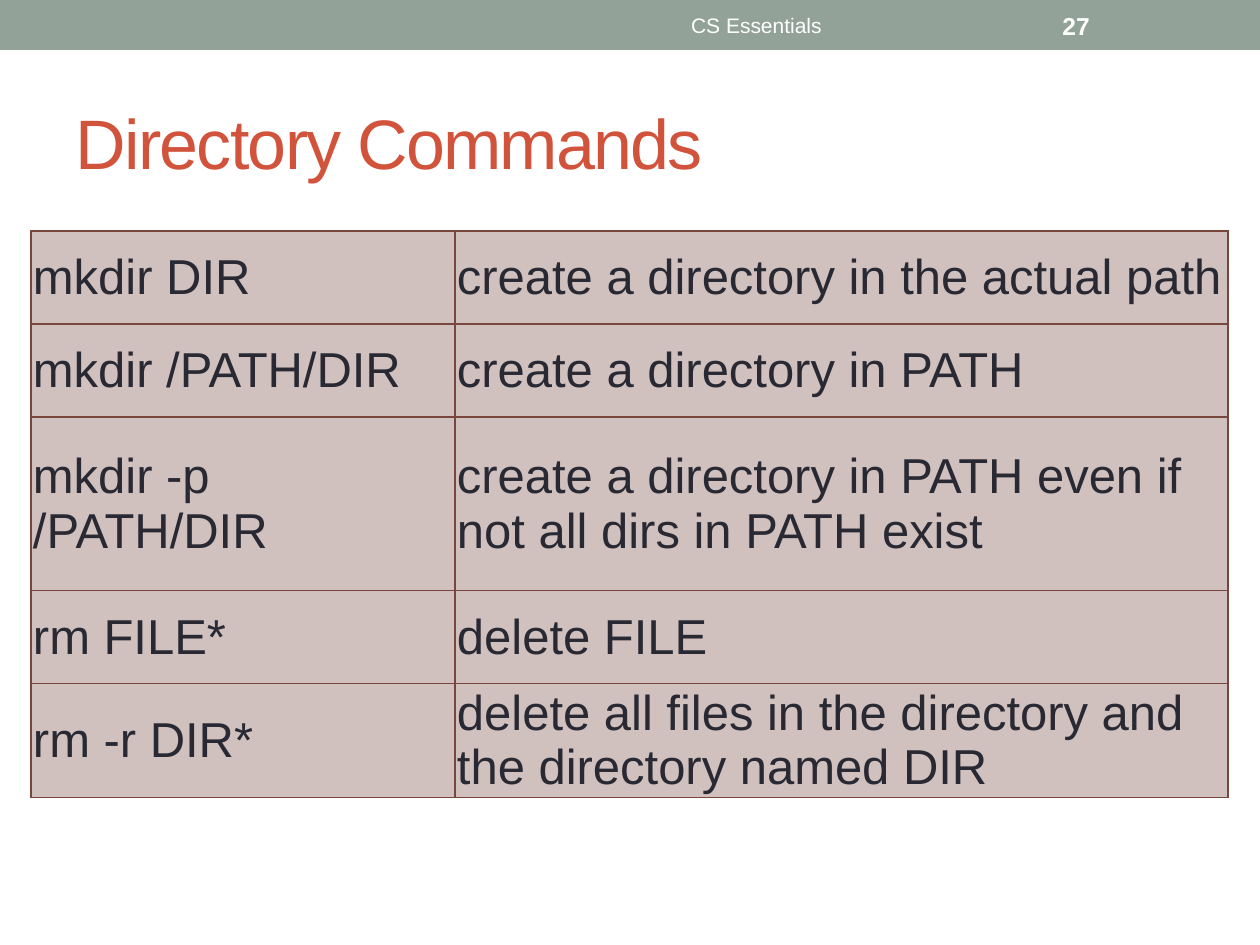
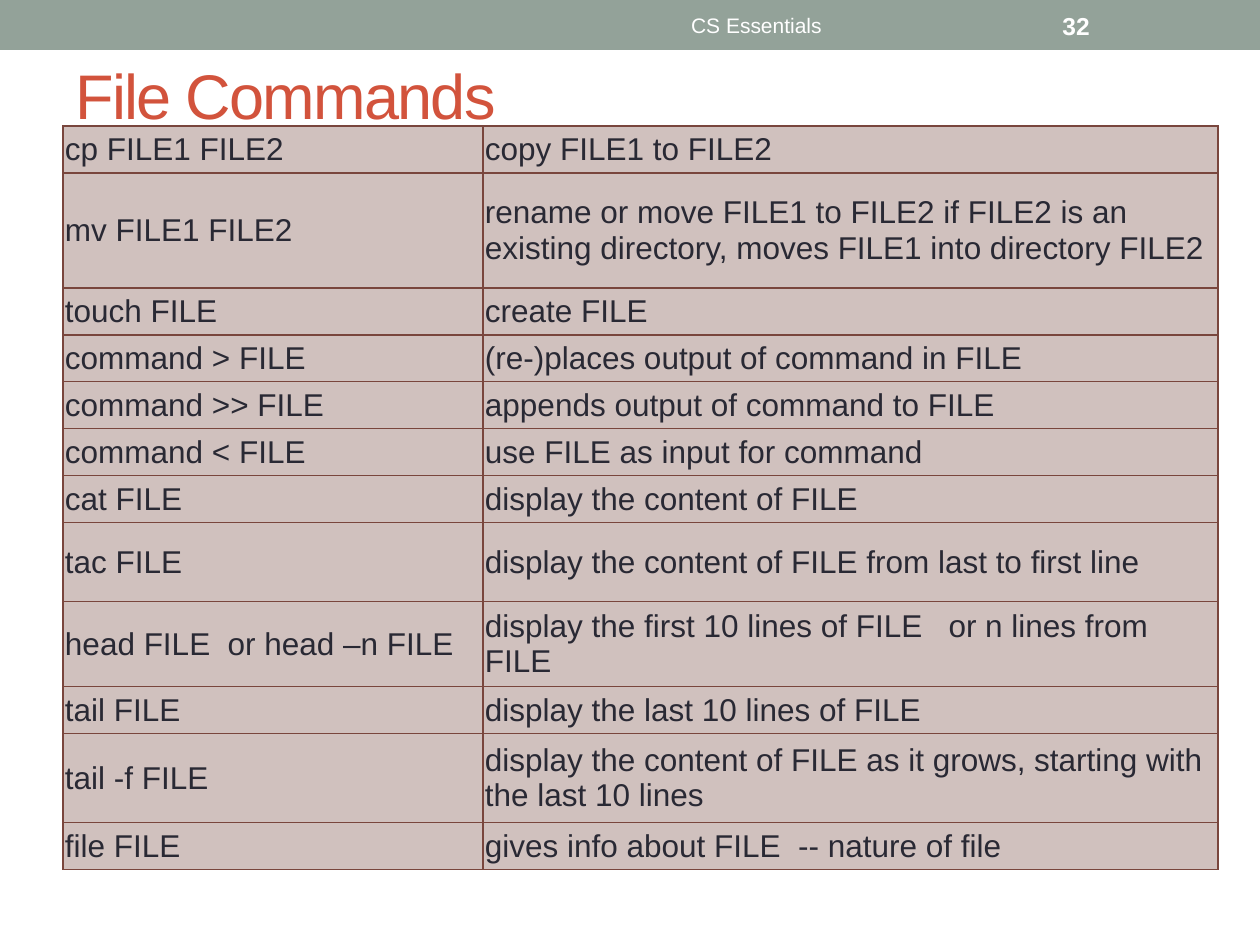
from dataclasses import dataclass

from lxml import etree
from pptx import Presentation
from pptx.dml.color import RGBColor
from pptx.enum.shapes import MSO_SHAPE
from pptx.enum.text import MSO_ANCHOR, MSO_AUTO_SIZE, PP_ALIGN
from pptx.oxml.ns import qn
from pptx.util import Emu, Pt

RECT = MSO_SHAPE.RECTANGLE
MIDDLE = MSO_ANCHOR.MIDDLE
NO_AUTOFIT = MSO_AUTO_SIZE.NONE
LEFT, CENTER = PP_ALIGN.LEFT, PP_ALIGN.CENTER

# Shared look
FONT = "Arial"
BAND, TITLE, INK = "93A299", "D2533C", "292934"
CELL, BORDER, WHITE = "D0C1BE", "79463D", "FFFFFF"
PX_PER_INCH = 126
SLIDE_W, SLIDE_H = 1260, 945
CELL_INSET = 2
BORDER_PT = 0.75
TITLE_ONLY = 5
COURSE = "CS Essentials"


@dataclass
class Box:
    x: int
    y: int
    w: int
    h: int


@dataclass
class CommandSlide:
    title: str
    number: int
    title_box: Box
    title_size: int
    table_x: int
    table_y: int
    col_widths: list[int]
    text_size: int
    rows: list[tuple[int, str, str]]  # height, command, meaning


BAND_BOX = Box(0, 0, SLIDE_W, 50)
COURSE_BOX = Box(473, 3, 567, 45)
NUMBER_BOX = Box(1050, 3, 147, 45)

SLIDES = [
    CommandSlide(
        "Directory Commands", 27, Box(63, 73, 1134, 136), 40,
        31, 231, [424, 773], 28,
        [
            (93, "mkdir DIR", "create a directory in the actual path"),
            (93, "mkdir /PATH/DIR", "create a directory in PATH"),
            (174, "mkdir -p /PATH/DIR",
             "create a directory in PATH even if not all dirs in PATH exist"),
            (93, "rm FILE*", "delete FILE"),
            (93, "rm -r DIR*",
             "delete all files in the directory and the directory named DIR"),
        ],
    ),
    CommandSlide(
        "File Commands", 32, Box(63, 63, 1134, 63), 36,
        63, 126, [420, 735], 18,
        [
            (47, "cp FILE1 FILE2", "copy FILE1 to FILE2"),
            (115, "mv FILE1 FILE2",
             "rename or move FILE1 to FILE2 if FILE2 is an existing directory, "
             "moves FILE1 into directory FILE2"),
            (47, "touch FILE", "create FILE"),
            (47, "command > FILE", "(re-)places output of command in FILE"),
            (47, "command >> FILE", "appends output of command to FILE"),
            (47, "command < FILE", "use FILE as input for command"),
            (47, "cat FILE", "display the content of FILE"),
            (79, "tac FILE", "display the content of FILE from last to first line"),
            (85, "head FILE  or head –n FILE",
             "display the first 10 lines of FILE   or n lines from FILE"),
            (47, "tail FILE", "display the last 10 lines of FILE"),
            (89, "tail -f FILE",
             "display the content of FILE as it grows, starting with the last 10 lines"),
            (47, "file FILE", "gives info about FILE  -- nature of file"),
        ],
    ),
]


def px(n: int) -> Emu:
    return Emu(round(n * 914400 / PX_PER_INCH))


def rgb(color: str) -> RGBColor:
    return RGBColor.from_string(color)


def place(box: Box) -> tuple[Emu, Emu, Emu, Emu]:
    return px(box.x), px(box.y), px(box.w), px(box.h)


def write(tf, text: str, size: int, color: str, align=LEFT, bold: bool = False):
    """Put one formatted paragraph in a text frame and return its run."""
    p = tf.paragraphs[0]
    r = p.add_run()
    r.text = text
    p.alignment = align
    p.font.name = FONT
    p.font.size = Pt(size)
    p.font.bold = bold
    p.font.color.rgb = rgb(color)
    return r


def add_band(s) -> None:
    band = s.shapes.add_shape(RECT, *place(BAND_BOX))
    band.shadow.inherit = False
    band.fill.solid()
    band.fill.fore_color.rgb = rgb(BAND)
    band.line.fill.background()


def add_label(s, box: Box, text: str, size: int, align=LEFT, bold: bool = False) -> None:
    tf = s.shapes.add_textbox(*place(box)).text_frame
    tf.word_wrap = True
    tf.vertical_anchor = MIDDLE
    write(tf, text, size, WHITE, align, bold)


def set_title(s, text: str, box: Box, size: int) -> None:
    title = s.shapes.title
    title.left, title.top, title.width, title.height = place(box)
    tf = title.text_frame
    tf.auto_size = NO_AUTOFIT
    tf.word_wrap = True
    tf.vertical_anchor = MIDDLE
    r = write(tf, text, size, TITLE)
    r._r.get_or_add_rPr().set("spc", "-100")  # letters one point tighter


def add_borders(cell) -> None:
    tc_pr = cell._tc.get_or_add_tcPr()
    for i, side in enumerate(("a:lnL", "a:lnR", "a:lnT", "a:lnB")):
        ln = etree.Element(qn(side), w=str(Pt(BORDER_PT)))
        fill = etree.SubElement(ln, qn("a:solidFill"))
        etree.SubElement(fill, qn("a:srgbClr"), val=BORDER)
        tc_pr.insert(i, ln)  # borders come before the fill


def fill_cell(cell, text: str, size: int) -> None:
    cell.margin_left = cell.margin_right = px(CELL_INSET)
    cell.margin_top = cell.margin_bottom = px(CELL_INSET)
    cell.vertical_anchor = MIDDLE
    cell.fill.solid()
    cell.fill.fore_color.rgb = rgb(CELL)
    add_borders(cell)
    write(cell.text_frame, text, size, INK)


def add_command_table(s, spec: CommandSlide) -> None:
    box = Box(spec.table_x, spec.table_y, sum(spec.col_widths),
              sum(height for height, _, _ in spec.rows))
    table = s.shapes.add_table(len(spec.rows), len(spec.col_widths), *place(box)).table
    table.first_row = False
    table.horz_banding = False
    for col, width in zip(table.columns, spec.col_widths):
        col.width = px(width)
    for row, (height, *texts) in zip(table.rows, spec.rows):
        row.height = px(height)
        for cell, text in zip(row.cells, texts):
            fill_cell(cell, text, spec.text_size)


def add_command_slide(prs, spec: CommandSlide) -> None:
    s = prs.slides.add_slide(prs.slide_layouts[TITLE_ONLY])
    add_band(s)
    set_title(s, spec.title, spec.title_box, spec.title_size)
    add_command_table(s, spec)
    add_label(s, COURSE_BOX, COURSE, 12, CENTER)
    add_label(s, NUMBER_BOX, str(spec.number), 14, bold=True)


def main() -> None:
    prs = Presentation()
    prs.slide_width, prs.slide_height = px(SLIDE_W), px(SLIDE_H)
    for spec in SLIDES:
        add_command_slide(prs, spec)
    prs.save("out.pptx")


if __name__ == "__main__":
    main()
